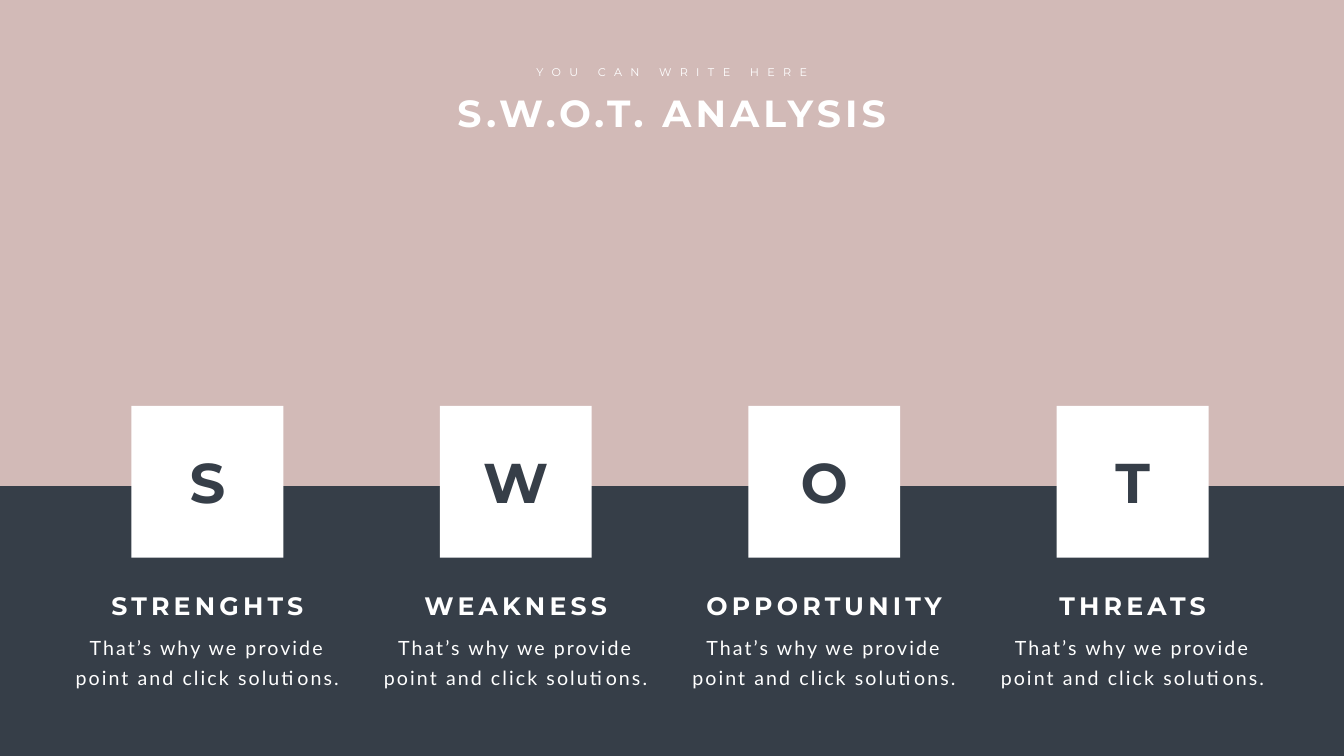
from lxml import etree
from pptx import Presentation
from pptx import util as u
from pptx.dml.color import RGBColor
from pptx.enum import shapes, text
from pptx.oxml.ns import qn

COLORS = {"slate": "363E48", "blush": "F9D9D3", "white": "FFFFFF"}

TITLE = "S.W.O.T. ANALYSIS"
SUBTITLE = "YOU CAN WRITE HERE"
BODY = "That’s why we provide point and click solutions."
# letter, letter box width, heading, heading box width (cm)
COLUMNS = [
    ("S", 4.52, "STRENGHTS", 11.2),
    ("W", 7.19, "WEAKNESS", 11.2),
    ("O", 5.56, "OPPORTUNITY", 14.88),
    ("T", 4.42, "THREATS", 11.2),
]

# Lengths in cm
PAGE_WIDTH, PAGE_HEIGHT = 67.72, 38.1
BAND_HEIGHT = 24.49
FIRST_CENTER, PITCH = 10.45, 15.54
TILE, TILE_TOP = 7.65, 20.45
BODY_WIDTH = 14.88


def color(name):
    return RGBColor.from_string(COLORS[name])


def add_rectangle(parent, left, top, width, height, fill, opacity=100):
    box = parent.shapes.add_shape(
        shapes.MSO_SHAPE.RECTANGLE, u.Cm(left), u.Cm(top), u.Cm(width), u.Cm(height))
    box.shadow.inherit = False
    box.line.fill.background()
    box.fill.solid()
    box.fill.fore_color.rgb = color(fill)
    if opacity < 100:
        tone = box.fill._xPr.find(".//" + qn("a:srgbClr"))
        etree.SubElement(tone, qn("a:alpha"), val=str(opacity * 1000))


def add_text(parent, words, center, top, width, height, *, size, font="Montserrat",
             fill="white", bold=False, spacing=6, wrap=True, leading=None, insets=None):
    """Add centred text in a box placed by its horizontal centre."""
    box = parent.shapes.add_textbox(
        u.Cm(center - width / 2), u.Cm(top), u.Cm(width), u.Cm(height))
    frame = box.text_frame
    frame.word_wrap = wrap
    frame.auto_size = text.MSO_AUTO_SIZE.SHAPE_TO_FIT_TEXT
    if insets:
        frame.margin_left = frame.margin_right = u.Cm(insets[0])
        frame.margin_top = frame.margin_bottom = u.Cm(insets[1])
    para = frame.paragraphs[0]
    para.alignment = text.PP_ALIGN.CENTER
    if leading:
        para.line_spacing = u.Pt(leading)
    span = para.add_run()
    span.text = words
    span.font.name = font
    span.font.size = u.Pt(size)
    span.font.bold = bold
    span.font.color.rgb = color(fill)
    span.font._element.set("spc", str(spacing * 100))


def main():
    deck = Presentation()
    deck.slide_width, deck.slide_height = u.Cm(PAGE_WIDTH), u.Cm(PAGE_HEIGHT)
    page = deck.slides.add_slide(deck.slide_layouts[6])
    page.background.fill.solid()
    page.background.fill.fore_color.rgb = color("slate")

    add_rectangle(page, 0, 0, PAGE_WIDTH, BAND_HEIGHT, "blush", opacity=80)

    header = page.shapes.add_group_shape()
    middle = PAGE_WIDTH / 2
    add_text(header, TITLE, middle, 4.42, 23.04, 2.57, size=54, bold=True, wrap=False)
    add_text(header, SUBTITLE, middle, 3.15, 14.68, 0.94, size=16, spacing=12, wrap=False)

    for index, (letter, letter_width, heading, heading_width) in enumerate(COLUMNS):
        center = FIRST_CENTER + index * PITCH
        add_rectangle(page, center - TILE / 2, TILE_TOP, TILE, TILE, "white")
        add_text(page, letter, center, 22.43, letter_width, 3.68,
                 size=80, bold=True, fill="slate")
        caption = page.shapes.add_group_shape()
        add_text(caption, BODY, center, 31.42, BODY_WIDTH, 3.53, size=28, font="Lato",
                 spacing=3, leading=43, insets=(0.61, 0.3))
        add_text(caption, heading, center, 29.64, heading_width, 1.8, size=36, bold=True)

    deck.save("out.pptx")


if __name__ == "__main__":
    main()
